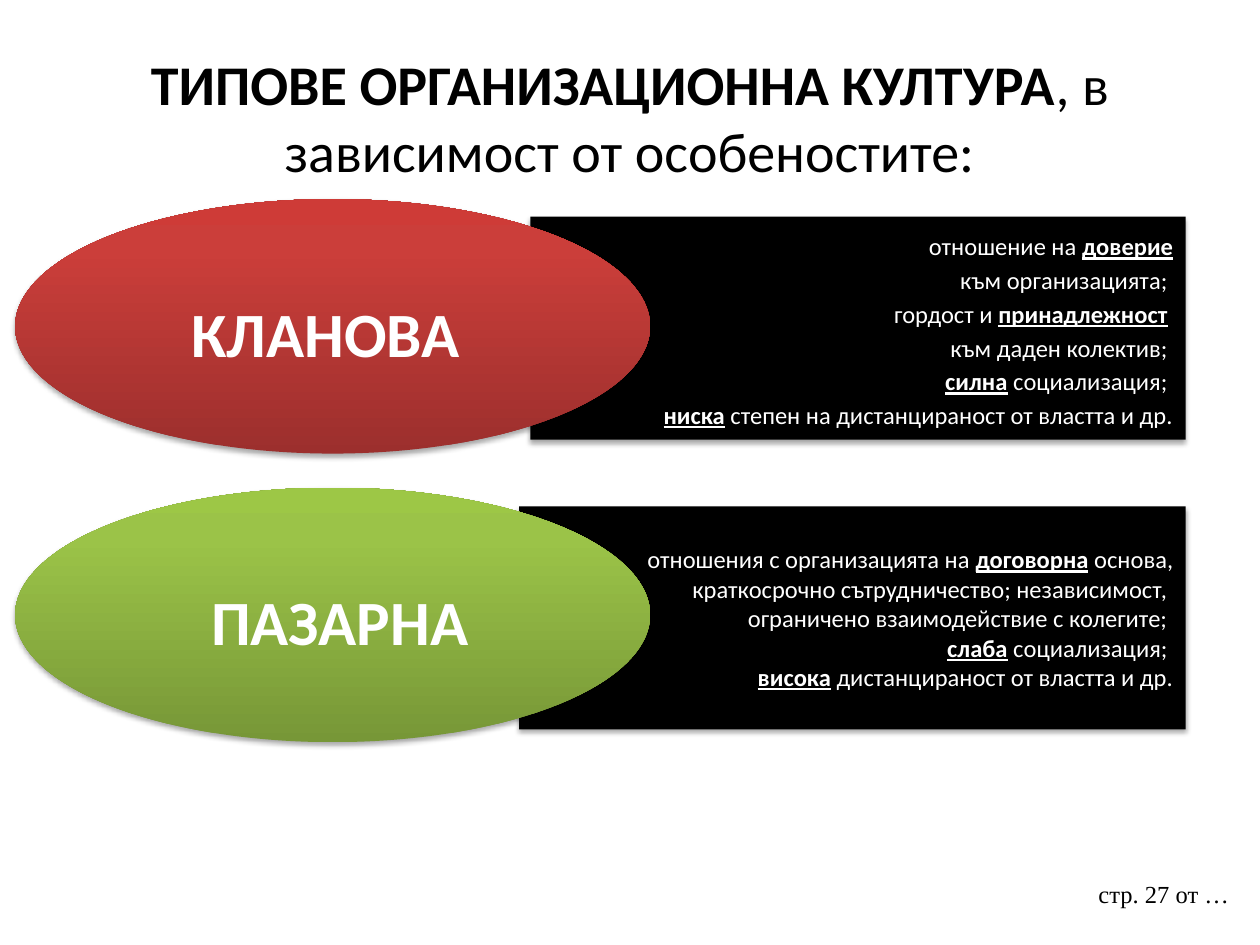
from copy import deepcopy

from lxml import etree
from pptx import Presentation
from pptx.dml.color import RGBColor
from pptx.enum.shapes import MSO_SHAPE
from pptx.enum.text import MSO_ANCHOR, PP_ALIGN
from pptx.oxml.ns import qn
from pptx.util import Inches, Pt

RECT, OVAL = MSO_SHAPE.RECTANGLE, MSO_SHAPE.OVAL
LEFT, CENTER, RIGHT = PP_ALIGN.LEFT, PP_ALIGN.CENTER, PP_ALIGN.RIGHT
TOP, MIDDLE = MSO_ANCHOR.TOP, MSO_ANCHOR.MIDDLE

BLACK = RGBColor(0x00, 0x00, 0x00)
WHITE = RGBColor(0xFF, 0xFF, 0xFF)
REDS = [RGBColor(0x9C, 0x2F, 0x2D), RGBColor(0xCB, 0x3E, 0x3A),
        RGBColor(0xCE, 0x3B, 0x37)]
GREENS = [RGBColor(0x77, 0x97, 0x37), RGBColor(0x9B, 0xC3, 0x48),
          RGBColor(0x9D, 0xC7, 0x46)]
STOPS = (0, 0.8, 1)

WIDE, HIGH = 10, 7.5
EDGE = 9.41           # right edge of the bars
OVAL_W, OVAL_H = 5.04, 2.02
BAR_H = 1.77

CLAN = [
    "отношение на *доверие*",
    " към организацията; ",
    "гордост и *принадлежност* ",
    "към даден колектив; ",
    "*силна* социализация; ",
    "*ниска* степен на дистанцираност от властта и др.",
]
MARKET = [
    " отношения с организацията на *договорна* основа, "
    "краткосрочно сътрудничество; независимост, ",
    "ограничено взаимодействие с колегите; ",
    "*слаба* социализация; ",
    "*висока* дистанцираност от властта и др.",
]


def write(shape, lines, size, color=BLACK, font="Calibri", align=LEFT,
          anchor=MIDDLE, bold=False, under=False, space=1, after=0):
    """Fill a shape with paragraphs; parts between asterisks are stressed."""
    frame = shape.text_frame
    frame.word_wrap = True
    frame.vertical_anchor = anchor
    for i, line in enumerate(lines):
        para = frame.add_paragraph() if i else frame.paragraphs[0]
        para.alignment = align
        para.line_spacing = space
        para.space_after = Pt(after)
        for j, part in enumerate(line.split("*")):
            if not part:
                continue
            run = para.add_run()
            run.text = part
            face = run.font
            face.name, face.size = font, Pt(size)
            face.color.rgb = color
            face.bold = bold or j % 2 == 1
            face.underline = under and j % 2 == 1


def shade(shape):
    """Give a shape a soft shadow below it."""
    shape.shadow.inherit = False
    effects = shape._element.spPr.find(qn("a:effectLst"))
    outer = etree.SubElement(effects, qn("a:outerShdw"), blurRad=str(Pt(3.1)),
                             dist=str(Pt(1.8)), dir="5400000", rotWithShape="0")
    tint = etree.SubElement(outer, qn("a:srgbClr"), val=str(BLACK))
    etree.SubElement(tint, qn("a:alpha"), val="35000")


def blend(fill, colors):
    """Set a three-stop gradient that rises from the bottom."""
    fill.gradient()
    fill.gradient_angle = 90
    last = fill._fill._gradFill.gsLst[-1]
    last.addprevious(deepcopy(last))
    for stop, place, color in zip(fill.gradient_stops, STOPS, colors):
        stop.position = place
        stop.color.rgb = color


def add_box(slide, box):
    return slide.shapes.add_textbox(*map(Inches, box))


def add_form(slide, kind, box):
    shape = slide.shapes.add_shape(kind, *map(Inches, box))
    shape.line.fill.background()
    shade(shape)
    return shape


def add_bar(slide, box, lines, space):
    bar = add_form(slide, RECT, box)
    bar.fill.solid()
    bar.fill.fore_color.rgb = BLACK
    write(bar, lines, 14, color=WHITE, align=RIGHT, under=True, space=space)


def add_oval(slide, box, name, colors):
    oval = add_form(slide, OVAL, box)
    blend(oval.fill, colors)
    write(oval, [name], 36, color=WHITE, align=CENTER, bold=True,
          space=1.15, after=10)


def add_type(slide, top, bar_x, bar_y, name, colors, lines, space):
    """Place one culture type: a bar of traits with its oval on top."""
    add_bar(slide, (bar_x, top + bar_y, EDGE - bar_x, BAR_H), lines, space)
    add_oval(slide, (0.12, top, OVAL_W, OVAL_H), name, colors)


def main():
    deck = Presentation()
    deck.slide_width, deck.slide_height = Inches(WIDE), Inches(HIGH)
    slide = deck.slides.add_slide(deck.slide_layouts[6])
    write(add_box(slide, (8.62, 6.93, 1.3, 0.52)), ["стр. 27 от …"], 14,
          font="Times New Roman", anchor=TOP)
    write(add_box(slide, (0.5, 0.3, WIDE - 1, 1.25)),
          ["*ТИПОВЕ ОРГАНИЗАЦИОННА КУЛТУРА*, в зависимост от особеностите:"],
          32, align=CENTER)
    add_type(slide, 1.58, 4.21, 0.14, "КЛАНОВА ", REDS, CLAN, 1.15)
    add_type(slide, 3.87, 4.12, 0.15, " ПАЗАРНА", GREENS, MARKET, 1)
    deck.save("out.pptx")


if __name__ == "__main__":
    main()
